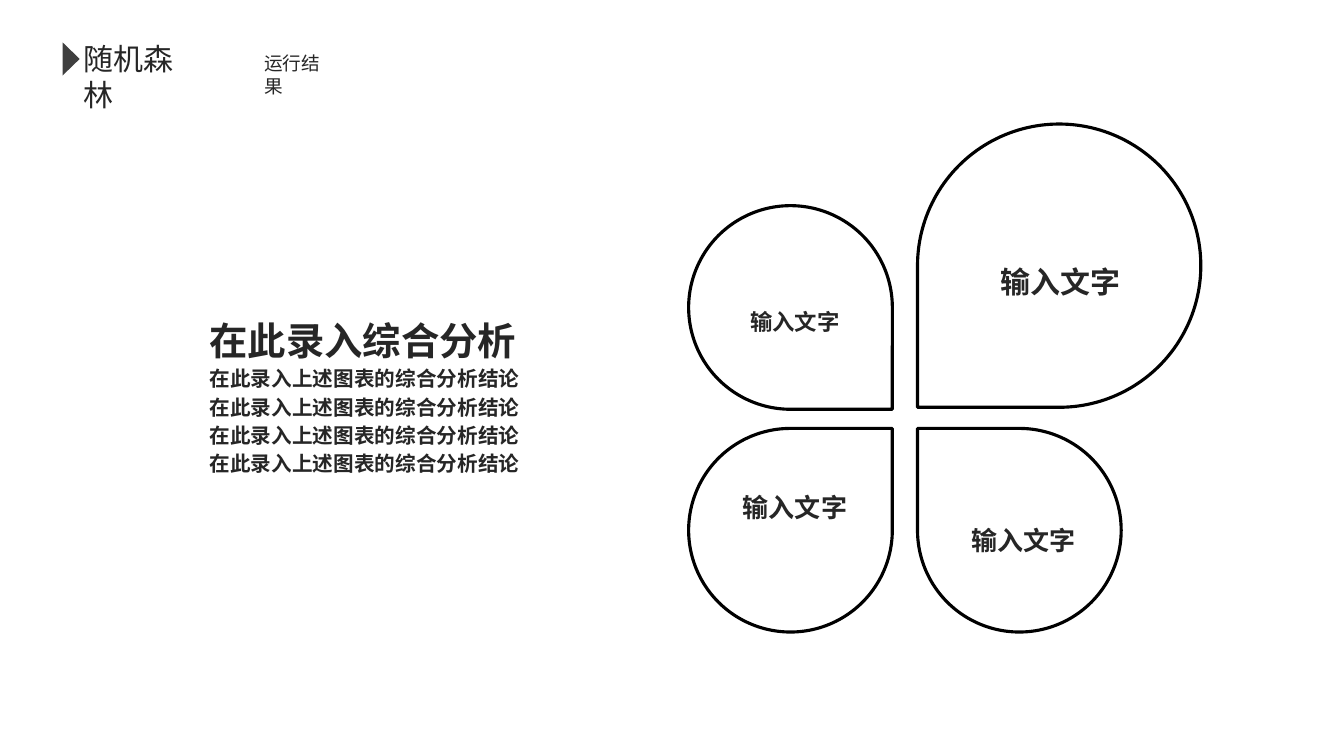
from dataclasses import dataclass

from lxml.etree import SubElement
from pptx import Presentation
from pptx.dml.color import RGBColor
from pptx.enum.shapes import MSO_SHAPE
from pptx.enum.text import MSO_AUTO_SIZE, PP_ALIGN
from pptx.oxml.ns import qn
from pptx.shapes.autoshape import Shape
from pptx.slide import Slide
from pptx.util import Inches, Pt

FONT = "Noto Sans CJK SC"
COLORS = {"background": "FFFFFF", "outline": "000000", "text": "262626", "marker": "3F3F3F"}
SLIDE_WIDTH, SLIDE_HEIGHT = 13.33, 7.5
LABEL_WIDTH = 2.13


@dataclass
class Petal:
    """A drop whose tip points at the hub, with the place of its label."""
    tip_x: float
    tip_y: float
    size: float
    rotation: int
    label_left: float
    label_top: float
    label_height: float
    label_size: float

    @property
    def left(self) -> float:
        return self.tip_x - (self.size if self.rotation in (0, 90) else 0)

    @property
    def top(self) -> float:
        return self.tip_y - (self.size if self.rotation in (90, 180) else 0)


PETALS = [
    Petal(9.1, 4.04, 2.81, 180, 9.45, 2.57, 0.46, 21.4),
    Petal(9.1, 4.25, 2.02, 270, 9.09, 5.15, 0.42, 18.6),
    Petal(8.85, 4.25, 2.02, 0, 6.82, 4.83, 0.42, 18.6),
    Petal(8.85, 4.06, 2.02, 90, 6.82, 3.01, 0.37, 16),
]


def add_shape(slide: Slide, kind: MSO_SHAPE, left: float, top: float, width: float,
              height: float, fill: str = "", line: str = "", rotation: int = 0) -> Shape:
    shape = slide.shapes.add_shape(kind, Inches(left), Inches(top), Inches(width), Inches(height))
    shape.shadow.inherit = False
    shape.rotation = rotation
    if fill:
        shape.fill.solid()
        shape.fill.fore_color.rgb = RGBColor.from_string(COLORS[fill])
    else:
        shape.fill.background()
    if line:
        shape.line.color.rgb = RGBColor.from_string(COLORS[line])
        shape.line.width = Pt(2.25)
    else:
        shape.line.fill.background()
    return shape


def add_text(slide: Slide, lines: list[tuple[str, float]], left: float, top: float,
             width: float, height: float, *, bold: bool = False,
             align: PP_ALIGN = PP_ALIGN.LEFT, spacing: float = 1.0) -> None:
    """Add a text box with one paragraph for each (text, point size) pair."""
    box = slide.shapes.add_textbox(Inches(left), Inches(top), Inches(width), Inches(height))
    frame = box.text_frame
    frame.word_wrap = True
    frame.auto_size = MSO_AUTO_SIZE.SHAPE_TO_FIT_TEXT
    for index, (text, size) in enumerate(lines):
        paragraph = frame.add_paragraph() if index else frame.paragraphs[0]
        paragraph.alignment = align
        paragraph.line_spacing = spacing
        run = paragraph.add_run()
        run.text = text
        run.font.size = Pt(size)
        run.font.bold = bold
        run.font.color.rgb = RGBColor.from_string(COLORS["text"])
        run.font.name = FONT
        SubElement(run._r.get_or_add_rPr(), qn("a:ea"), typeface=FONT)


def add_petals(slide: Slide) -> None:
    for petal in PETALS:
        add_shape(slide, MSO_SHAPE.TEAR, petal.left, petal.top, petal.size, petal.size,
                  line="outline", rotation=petal.rotation)
    for petal in PETALS:
        add_text(slide, [("输入文字", petal.label_size)], petal.label_left, petal.label_top,
                 LABEL_WIDTH, petal.label_height, bold=True, align=PP_ALIGN.CENTER)


def add_header(slide: Slide) -> None:
    add_text(slide, [("随机森林", 21.4)], 0.73, 0.35, 1.37, 0.45)
    add_shape(slide, MSO_SHAPE.ISOSCELES_TRIANGLE, 0.54, 0.5, 0.33, 0.17,
              fill="marker", rotation=90)
    add_text(slide, [("运行结果", 13.3)], 2.52, 0.47, 0.92, 0.32)


def main() -> None:
    presentation = Presentation()
    presentation.slide_width = Inches(SLIDE_WIDTH)
    presentation.slide_height = Inches(SLIDE_HEIGHT)
    slide = presentation.slides.add_slide(presentation.slide_layouts[6])
    add_shape(slide, MSO_SHAPE.RECTANGLE, 0, 0, SLIDE_WIDTH, SLIDE_HEIGHT, fill="background")
    add_petals(slide)
    analysis = [("在此录入综合分析", 27.4)] + [("在此录入上述图表的综合分析结论", 14.7)] * 4
    add_text(slide, analysis, 1.98, 3.03, 4.06, 1.75, bold=True, spacing=1.14)
    add_header(slide)
    presentation.save("out.pptx")


if __name__ == "__main__":
    main()
